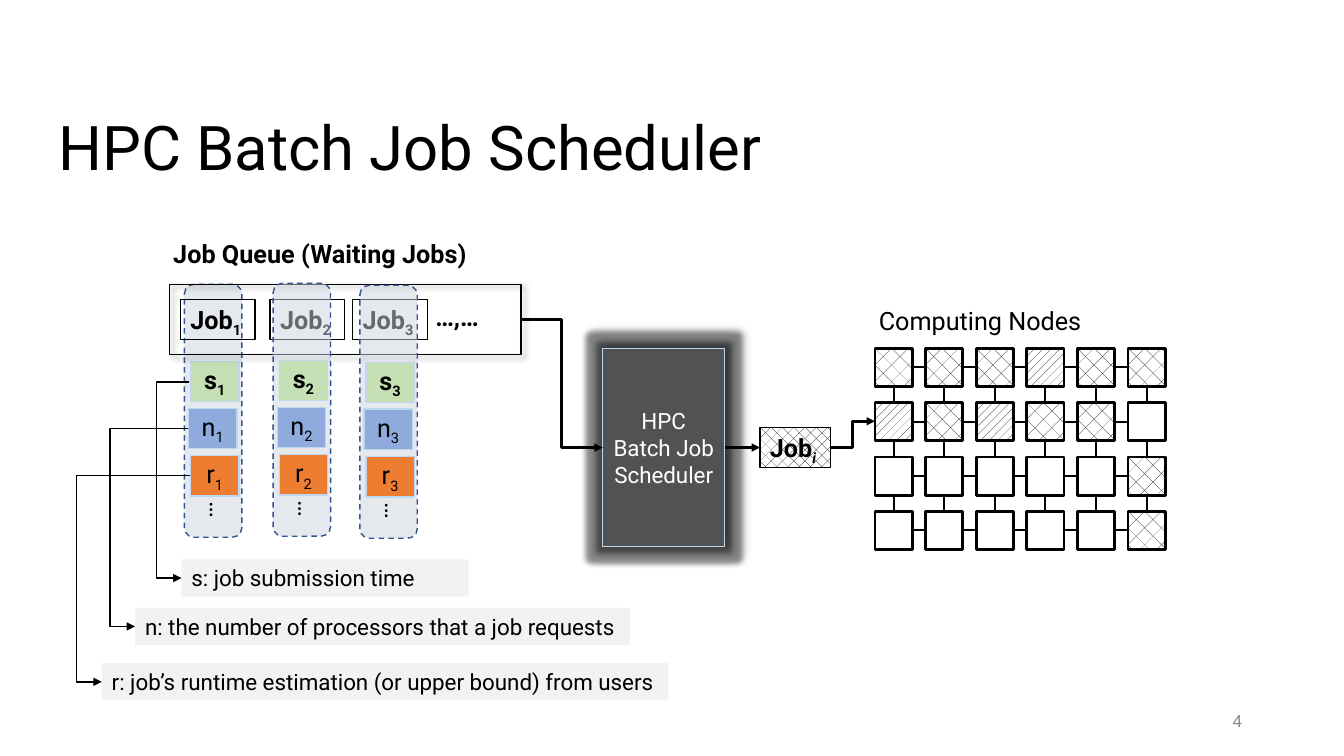
from lxml import etree
from pptx import Presentation
from pptx.dml.color import RGBColor
from pptx.enum.dml import MSO_LINE, MSO_PATTERN
from pptx.enum.shapes import MSO_CONNECTOR, MSO_SHAPE
from pptx.enum.text import MSO_ANCHOR, MSO_AUTO_SIZE, PP_ALIGN
from pptx.oxml.ns import qn
from pptx.util import Inches, Pt

RECT, ROUND = MSO_SHAPE.RECTANGLE, MSO_SHAPE.ROUNDED_RECTANGLE
LINE, ELBOW = MSO_CONNECTOR.STRAIGHT, MSO_CONNECTOR.ELBOW
BRICK, DOTS, MESH = (MSO_PATTERN.DIAGONAL_BRICK, MSO_PATTERN.PERCENT_20,
                     MSO_PATTERN.PERCENT_25)
DASH = MSO_LINE.DASH
TOP, MID = MSO_ANCHOR.TOP, MSO_ANCHOR.MIDDLE
LEFT, MIDST, RIGHT = PP_ALIGN.LEFT, PP_ALIGN.CENTER, PP_ALIGN.RIGHT
GROW = MSO_AUTO_SIZE.SHAPE_TO_FIT_TEXT
COLS, ROWS = 133.33, 75
BLACK, WHITE, EDGE = "000000", "FFFFFF", "BDD7EE"


def grid(*cells):
    """Turn grid cells of a tenth of an inch into lengths."""
    return [Inches(round(cell / 10, 3)) for cell in cells]


def rgb(code):
    """Turn a hex string into a colour."""
    return RGBColor.from_string(code)


def sub(node, tag, **attrs):
    """Append a drawing element with its attributes."""
    return etree.SubElement(node, qn("a:" + tag), attrs)


def effect(shape, tag, **attrs):
    """Add a black, mostly clear glow or shadow."""
    props = shape._element.spPr
    base = props.find(qn("a:effectLst"))
    tint = sub(sub(base, tag, **attrs), "srgbClr", val=BLACK)
    sub(tint, "alpha", val="40000")


def shade(shape, turn):
    """Add an offset shadow in one direction, given in degrees."""
    effect(shape, "outerShdw", blurRad=str(Pt(4)), dist=str(Pt(3)),
           dir=str(turn * 60000), rotWithShape="0")


def box(slide, at, fill=None, edge=None, wide=1, kind=RECT, hatch=None):
    """Draw a preset shape with a plain, hatched or empty fill."""
    shape = slide.shapes.add_shape(kind, *grid(*at))
    shape.shadow.inherit = False
    if hatch is not None:
        shape.fill.patterned()
        shape.fill.pattern = hatch
        shape.fill.fore_color.rgb = rgb(BLACK)
        shape.fill.back_color.rgb = rgb(WHITE)
    elif fill:
        shape.fill.solid()
        shape.fill.fore_color.rgb = rgb(fill)
    else:
        shape.fill.background()
    if edge:
        shape.line.color.rgb = rgb(edge)
        shape.line.width = Pt(wide)
    else:
        shape.line.fill.background()
    return shape


def write(shape, text, low="", size=18, ink=BLACK, bold=False, tilt=False,
          side=LEFT, hold=TOP, wrap=True, grow=True):
    """Write a run and an optional subscript run into a shape."""
    frame = shape.text_frame
    frame.word_wrap = wrap
    frame.vertical_anchor = hold
    if grow:
        frame.auto_size = GROW
    para = frame.paragraphs[0]
    para.alignment = side
    for part in filter(None, (text, low)):
        run = para.add_run()
        run.text = part
        font = run.font
        font.name, font.size, font.bold = "Roboto", Pt(size), bold
        font.color.rgb = rgb(ink)
        if part is low:
            font.italic = tilt
            run._r.get_or_add_rPr().set("baseline", "-25000")
    return para


def label(slide, at, text, **look):
    """Place a text box."""
    shape = slide.shapes.add_textbox(*grid(*at))
    return shape, write(shape, text, **look)


def link(slide, start, end, wide=2.0, bend=None, arrow=True):
    """Join two points, turning at the column named by bend."""
    kind = LINE if bend is None else ELBOW
    wire = slide.shapes.add_connector(kind, *grid(*start, *end))
    wire.line.color.rgb = rgb(BLACK)
    wire.line.width = Pt(wide)
    props = wire._element.spPr
    sub(props, "effectLst")
    if arrow:
        sub(wire.line._get_or_add_ln(), "tailEnd", type="triangle")
    if bend is not None:
        turn = (bend - start[0]) / (end[0] - start[0])
        guides = props.find(qn("a:prstGeom")).get_or_add_avLst()
        sub(guides, "gd", name="adj1", fmla=f"val {round(turn * 100000)}")


def job(slide, x, low, **look):
    """Draw a job box."""
    y, wide, hatch = look.get("y", 29.7), look.get("wide", 7.4), look.get("hatch")
    shape = box(slide, (x, y, wide, 4), edge=BLACK, hatch=hatch)
    write(shape, "Job", low, bold=True, tilt=hatch is not None, wrap=False)


def traits(slide, x, y, low):
    """Draw the dashed column that holds the traits of one job."""
    band = box(slide, (x, y, 5.7, 25.1), "CCD4DE", "325491", kind=ROUND)
    band.line.dash_style = DASH
    tint = band._element.spPr.find(qn("a:solidFill"))[0]
    sub(tint, "alpha", val="50000")
    cells = (("s", 0.6, 7.65, "C5E0B4"), ("n", 0.4, 12.3, "8FAADC"),
             ("r", 0.6, 17, "ED7D31"))
    for name, dx, dy, fill in cells:
        cell = box(slide, (x + dx, y + dy, 4.8, 4), fill, EDGE)
        write(cell, name, low, bold=name == "s", side=MIDST, hold=MID, grow=False)
    dots, _ = label(slide, (x + 1.25, y + 20.8, 4.5, 4), "…", wrap=False)
    dots.rotation = 90


def nodes(slide):
    """Draw the mesh of computing nodes."""
    x, y, dx, dy, wide, high = 86.8, 34.55, 5.02, 5.39, 3.7, 3.8
    for row, line in enumerate(("BBBDBB", "DBDBB.", ".....B", ".....B")):
        for col, mark in enumerate(line):
            left, top = x + col * dx, y + row * dy
            box(slide, (left, top, wide, high), WHITE, BLACK, 2,
                hatch={"B": BRICK, "D": DOTS}.get(mark))
            cx, cy = left + wide / 2, top + high / 2
            if col < 5:
                link(slide, (left + wide, cy), (left + dx, cy), 1.5, arrow=False)
            if row < 3:
                link(slide, (cx, top + high), (cx, top + dy), 1.5, arrow=False)
    label(slide, (86.2, 29.8, 25.1, 4), "Computing Nodes")


def queue(slide):
    """Draw the waiting jobs and their traits."""
    traits(slide, 18.3, 28.2, "1")
    shade(box(slide, (16.8, 28.2, 34.9, 7), edge=BLACK), 45)
    label(slide, (16.2, 23.2, 37.8, 4), "Job Queue (Waiting Jobs)", bold=True)
    for x, low in ((17.9, "1"), (26.8, "2"), (35, "3")):
        job(slide, x, low)
    label(slide, (42.2, 29.4, 7.7, 4), "…,…", bold=True, wrap=False)
    traits(slide, 27.1, 28.1, "2")
    traits(slide, 35.7, 28.3, "3")


def legend(slide):
    """Explain the three traits and point from the first job."""
    notes = (
        ("s: job submission time", 18, 55.5, 28.5, 18.8, 37.9, 15.5),
        ("n: the number of processors that a job requests",
         13.4, 60.3, 49.1, 18.7, 42.5, 10.9),
        ("r: job’s runtime estimation (or upper bound) from users",
         10.1, 65.8, 56.2, 18.9, 47.2, 7.6))
    for text, x, y, wide, cx, cy, bend in notes:
        note = box(slide, (x, y, wide, 3.7), "F2F2F2")
        write(note, text, size=16, wrap=text[0] == "s")
        link(slide, (cx, cy), (x, y + 1.85), 1, bend)


def main():
    """Build the slide and save it."""
    deck = Presentation()
    deck.slide_width, deck.slide_height = grid(COLS, ROWS)
    slide = deck.slides.add_slide(deck.slide_layouts[6])
    _, title = label(slide, (4.8, 7.7, 115.8, 14.5), "HPC Batch Job Scheduler",
                     size=44, hold=MID, grow=False)
    title.line_spacing = 0.9
    queue(slide)
    plan = box(slide, (59.8, 34.6, 12.1, 19.6), "525252", EDGE)
    effect(plan, "glow", rad=str(Pt(8)))
    shade(plan, 315)
    write(plan, "HPC Batch Job Scheduler", size=16, ink=WHITE, side=MIDST,
          hold=MID, grow=False)
    link(slide, (51.7, 31.7), (59.8, 44.4), bend=55.7)
    job(slide, 75.4, "i", y=42.4, wide=7, hatch=MESH)
    link(slide, (71.9, 44.4), (75.4, 44.4))
    nodes(slide)
    link(slide, (82.4, 44.4), (86.8, 41.8), bend=84.6)
    legend(slide)
    label(slide, (94.2, 69.5, 30, 4), "4", size=12, ink="8C8C8C", side=RIGHT,
          hold=MID, grow=False)
    deck.save("out.pptx")


if __name__ == "__main__":
    main()
